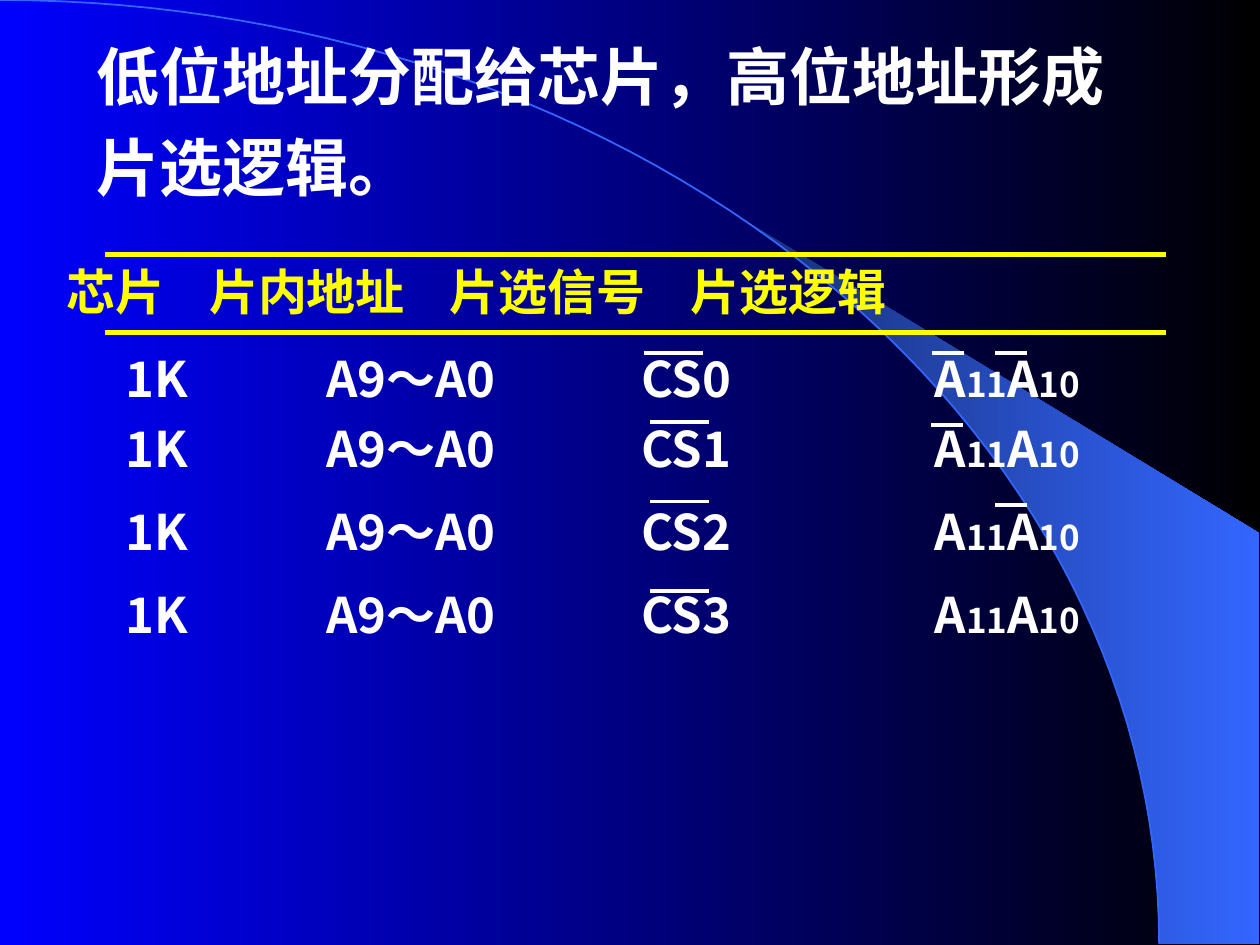
from dataclasses import dataclass
from math import asin, cos, pi, sin

from lxml import etree
from pptx import Presentation, util as u
from pptx.dml.color import RGBColor
from pptx.enum import shapes, text
from pptx.oxml.ns import qn


@dataclass(frozen=True)
class Theme:
    font: str = "Noto Sans CJK SC"
    white: str = "FFFFFF"
    yellow: str = "FFFF00"
    sky: tuple = ("0000FF", "000000")
    wedge: tuple = ("182F76", "3366FF")
    arc: str = "3366FF"
    title: float = 36
    body: float = 28
    small: float = 20


class Board:
    """Draws on one page, measured on a grid of 100 columns by 75 rows."""

    def __init__(self, deck, theme):
        self.theme = theme
        self.page = deck.slides.add_slide(deck.slide_layouts[6])
        self.column = deck.slide_width / 100
        self.row = deck.slide_height / 75

    def x(self, columns):
        return u.Emu(round(columns * self.column))

    def y(self, rows):
        return u.Emu(round(rows * self.row))

    def gradient(self, fill, colours):
        fill.gradient()
        fill.gradient_angle = 0
        for stop, colour in zip(fill.gradient_stops, colours):
            stop.color.rgb = RGBColor.from_string(colour)

    def outline(self, points, close):
        places = [(self.x(x), self.y(y)) for x, y in points]
        builder = self.page.shapes.build_freeform(*places[0])
        builder.add_line_segments(places[1:], close=close)
        shape = builder.convert_to_shape()
        shape.shadow.inherit = False
        return shape

    def wedge(self, points):
        shape = self.outline(points, close=True)
        self.gradient(shape.fill, self.theme.wedge)
        shape.line.fill.background()

    def curve(self, points):
        shape = self.outline(points, close=False)
        shape.fill.background()
        shape.line.color.rgb = RGBColor.from_string(self.theme.arc)
        shape.line.width = u.Pt(1)

    def rule(self, left, top, width, colour, weight):
        line = self.page.shapes.add_connector(
            shapes.MSO_CONNECTOR.STRAIGHT,
            self.x(left), self.y(top), self.x(left + width), self.y(top))
        line.line.color.rgb = RGBColor.from_string(colour)
        line.line.width = u.Pt(weight)
        etree.SubElement(line._element.spPr, qn("a:effectLst"))

    def label(self, left, top, width, height, spans, colour,
              before=17.5, spacing=None, inset=1, tabs=()):
        box = self.page.shapes.add_textbox(
            self.x(left), self.y(top), self.x(width), self.y(height))
        frame = box.text_frame
        frame.word_wrap = True
        frame.auto_size = text.MSO_AUTO_SIZE.SHAPE_TO_FIT_TEXT
        frame.margin_left = self.x(inset)
        para = frame.paragraphs[0]
        para.space_before = u.Pt(before)
        if spacing:
            para.line_spacing = spacing
        if tabs:
            stops = etree.SubElement(para._p.get_or_add_pPr(), qn("a:tabLst"))
            for stop in tabs:
                etree.SubElement(stops, qn("a:tab"), pos=str(self.x(stop)), algn="l")
        for words, size in spans:
            span = para.add_run()
            span.text = words
            span.font.size = u.Pt(size)
            span.font.bold = True
            span.font.name = self.theme.font
            span.font.color.rgb = RGBColor.from_string(colour)
            east = etree.Element(qn("a:ea"), typeface=self.theme.font)
            span.font._element.find(qn("a:latin")).addnext(east)


def quarter_ellipse(start, steps=60):
    """Points from an angle off the vertical down to the foot of the arc."""
    across, down = 92, 74.9
    angles = [start + (pi / 2 - start) * i / steps for i in range(steps + 1)]
    return [(across * sin(a), down * (1 - cos(a))) for a in angles]


def main():
    deck = Presentation()
    deck.slide_width, deck.slide_height = u.Inches(10), u.Inches(7.5)
    theme = Theme()
    board = Board(deck, theme)

    # Background: gradient, wedge and arc
    board.gradient(board.page.background.fill, theme.sky)
    board.wedge(quarter_ellipse(asin(0.64)) + [(99.9, 74.9), (99.9, 42.3)])
    board.curve(quarter_ellipse(0))

    # Title
    board.label(6.7, 1.3, 86.6, 15.4,
                [("低位地址分配给芯片，高位地址形成片选逻辑。", theme.title)],
                theme.white, before=22.5, spacing=1.2)

    # Column headings between two rules
    board.label(1.6, 20.3, 91.7, 5.7,
                [("芯片\t片内地址\t片选信号\t片选逻辑", theme.body)],
                theme.yellow, inset=3.7, tabs=(11.3, 30.4, 49.5))
    for top in (20.2, 26.4):
        board.rule(8.3, top, 84.2, theme.yellow, 3)

    # Chip rows: top, then (left, top) of the bars over CS and over A
    logic = [("A", theme.body), ("11", theme.small),
             ("A", theme.body), ("10", theme.small)]
    rows = [
        (27.2, (51.1, 28), [(74, 28), (79, 28)]),
        (32.7, (51.6, 33.5), [(73.9, 33.7)]),
        (39.3, (51.6, 39.8), [(79, 40.1)]),
        (45.9, (51.6, 46.9), []),
    ]
    for number, (top, select_bar, address_bars) in enumerate(rows):
        cells = [(9, 11.7, "1K"), (24.9, 19.2, "A9～A0"), (49.9, 19.2, f"CS{number}")]
        for left, width, words in cells:
            board.label(left, top, width, 5.7, [(words, theme.body)], theme.white)
        board.label(73.2, top, 15.8, 5.7, logic, theme.white, before=12.5)
        board.rule(*select_bar, 4.7, theme.white, 2.25)
        for bar in address_bars:
            board.rule(*bar, 2.5, theme.white, 2.25)

    deck.save("out.pptx")


if __name__ == "__main__":
    main()
